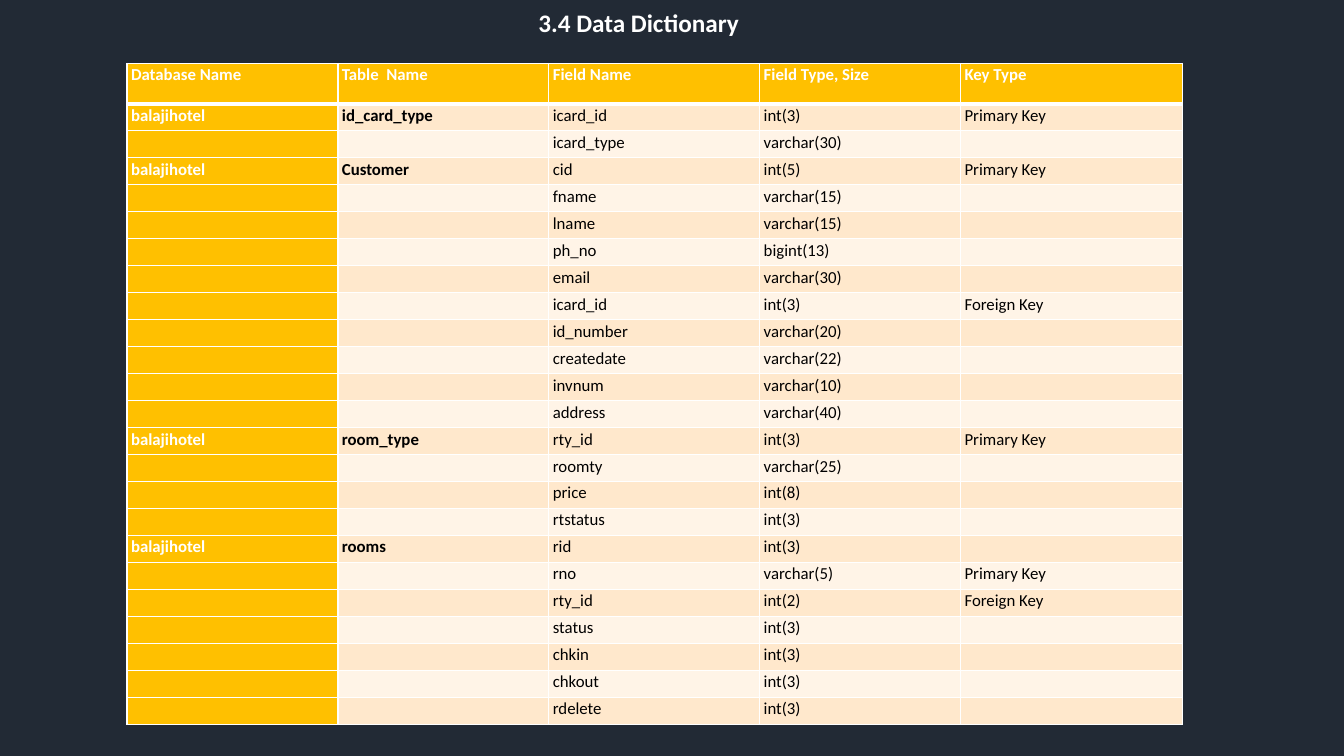
from lxml import etree
from pptx import Presentation
from pptx.dml.color import RGBColor
from pptx.enum.text import MSO_AUTO_SIZE as AutoSize, PP_ALIGN as Align
from pptx.oxml.ns import qn
from pptx.util import Inches, Pt

COLORS = {
    "background": "222A35",
    "header": "FFC000",
    "odd": "FFE8CC",
    "even": "FFF4E7",
    "white": "FFFFFF",
    "black": "000000",
}
FONT = "Calibri"
DATABASE = "balajihotel"
HEADINGS = ["Database Name", "Table  Name", "Field Name", "Field Type, Size", "Key Type"]
COLUMN_WIDTHS = [2.09, 2.09, 2.09, 1.99, 2.2]
HEADER_HEIGHT = 0.4
TABLES = {
    "id_card_type": [
        ("icard_id", "int(3)", "Primary Key"),
        ("icard_type", "varchar(30)", ""),
    ],
    "Customer": [
        ("cid", "int(5)", "Primary Key"),
        ("fname", "varchar(15)", ""),
        ("lname", "varchar(15)", ""),
        ("ph_no", "bigint(13)", ""),
        ("email", "varchar(30)", ""),
        ("icard_id", "int(3)", "Foreign Key"),
        ("id_number", "varchar(20)", ""),
        ("createdate", "varchar(22)", ""),
        ("invnum", "varchar(10)", ""),
        ("address", "varchar(40)", ""),
    ],
    "room_type": [
        ("rty_id", "int(3)", "Primary Key"),
        ("roomty", "varchar(25)", ""),
        ("price", "int(8)", ""),
        ("rtstatus", "int(3)", ""),
    ],
    "rooms": [
        ("rid", "int(3)", ""),
        ("rno", "varchar(5)", "Primary Key"),
        ("rty_id", "int(2)", "Foreign Key"),
        ("status", "int(3)", ""),
        ("chkin", "int(3)", ""),
        ("chkout", "int(3)", ""),
        ("rdelete", "int(3)", ""),
    ],
}


def color(name):
    return RGBColor.from_string(COLORS[name])


def write(paragraph, text, size, color_name, bold):
    paragraph.line_spacing = 1.07
    paragraph.space_after = Pt(8)
    font = paragraph.font
    font.name, font.size, font.bold = FONT, Pt(size), bold
    font.color.rgb = color(color_name)
    if text:
        paragraph.add_run().text = text
    else:
        etree.SubElement(paragraph._p, qn("a:endParaRPr"), sz=str(size * 100))


def set_borders(cell, row):
    properties = cell._tc.get_or_add_tcPr()
    widths = {"L": 1, "R": 1, "T": 3 if row == 1 else 1, "B": 3 if row == 0 else 1}
    for position, (side, width) in enumerate(widths.items()):
        line = etree.Element(qn(f"a:ln{side}"), w=str(Pt(width)))
        fill = etree.SubElement(line, qn("a:solidFill"))
        etree.SubElement(fill, qn("a:srgbClr"), val=COLORS["white"])
        properties.insert(position, line)


def add_title(slide, left, top, width, height):
    box = slide.shapes.add_textbox(Inches(left), Inches(top), Inches(width), Inches(height))
    frame = box.text_frame
    frame.word_wrap = True
    frame.auto_size = AutoSize.SHAPE_TO_FIT_TEXT
    paragraph = frame.paragraphs[0]
    paragraph.alignment = Align.CENTER
    write(paragraph, "3.4 Data Dictionary", 18, "white", True)


def fill_cell(cell, text, row, column):
    accent = row == 0 or column == 0
    cell.margin_left = cell.margin_right = Inches(0.04)
    cell.margin_top = cell.margin_bottom = 0
    cell.fill.solid()
    cell.fill.fore_color.rgb = color("header" if accent else "odd" if row % 2 else "even")
    set_borders(cell, row)
    paragraph = cell.text_frame.paragraphs[0]
    write(paragraph, text, 12, "white" if accent else "black", accent or column == 1)


def add_dictionary(slide, left, top, width, height):
    rows = [HEADINGS]
    for name, fields in TABLES.items():
        for index, field in enumerate(fields):
            owner = ("", "") if index else (DATABASE, name)
            rows.append([*owner, *field])
    frame = slide.shapes.add_table(
        len(rows), len(HEADINGS), Inches(left), Inches(top), Inches(width), Inches(height)
    )
    table = frame.table
    for column, share in zip(table.columns, COLUMN_WIDTHS):
        column.width = Inches(width * share / sum(COLUMN_WIDTHS))
    row_height = (height - HEADER_HEIGHT) / (len(rows) - 1)
    for row, texts in enumerate(rows):
        table.rows[row].height = Inches(row_height if row else HEADER_HEIGHT)
        for column, text in enumerate(texts):
            fill_cell(table.cell(row, column), text, row, column)


def main():
    presentation = Presentation()
    presentation.slide_width = Inches(13.33)
    presentation.slide_height = Inches(7.5)
    slide = presentation.slides.add_slide(presentation.slide_layouts[6])
    slide.background.fill.solid()
    slide.background.fill.fore_color.rgb = color("background")
    add_title(slide, 3, 0, 6.67, 0.41)
    add_dictionary(slide, 1.26, 0.63, 10.47, 6.56)
    presentation.save("out.pptx")


if __name__ == "__main__":
    main()
